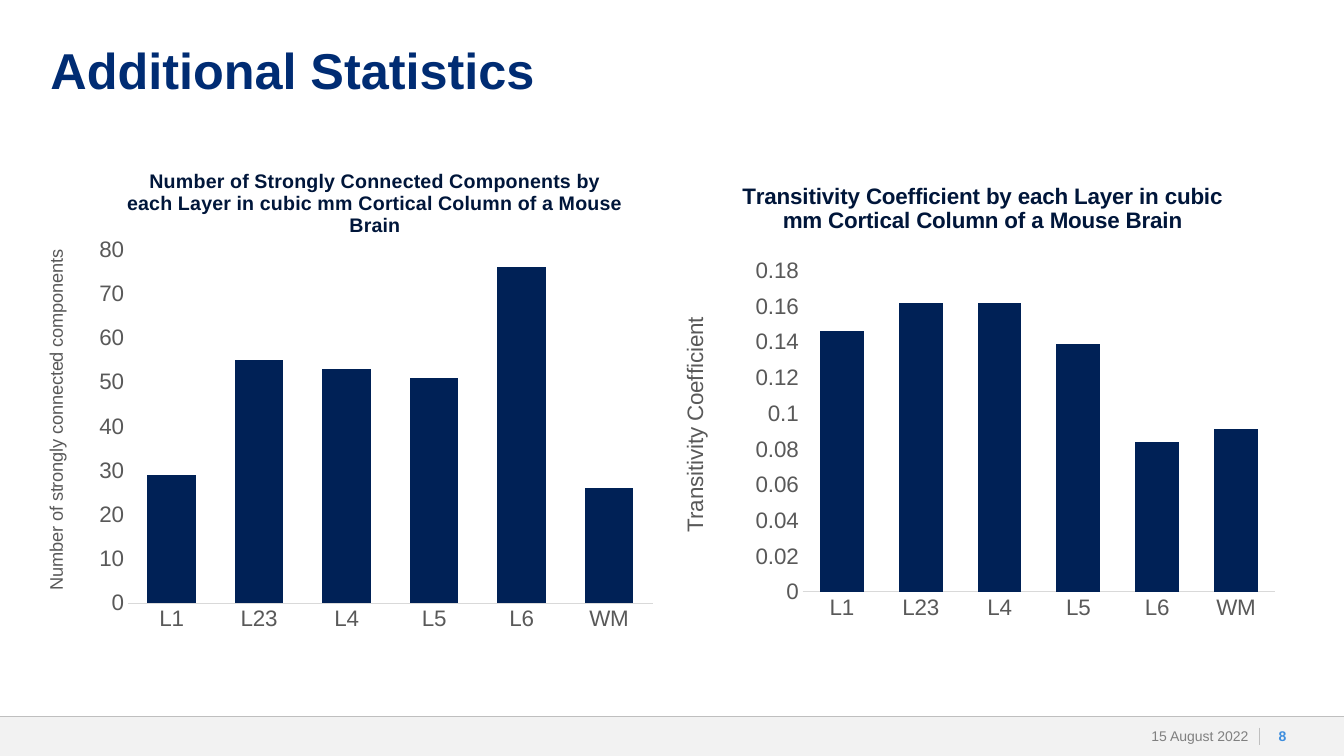
from dataclasses import dataclass

from lxml.etree import SubElement
from pptx import Presentation
from pptx.chart.data import CategoryChartData
from pptx.dml.color import RGBColor
from pptx.enum.chart import XL_CHART_TYPE, XL_TICK_MARK
from pptx.enum.shapes import MSO_CONNECTOR, MSO_SHAPE
from pptx.enum.text import MSO_ANCHOR, PP_ALIGN
from pptx.oxml import parse_xml
from pptx.oxml.ns import nsdecls, qn
from pptx.util import Inches, Pt

FONT = "Arial"
GREY = "595959"
LAYERS = ["L1", "L23", "L4", "L5", "L6", "WM"]


@dataclass
class Panel:
    box: tuple[float, float, float, float]
    title: str
    size: int
    label: str
    small: int
    vals: list[float]
    top: float
    step: float
    plot: tuple[float, float, float, float]
    head: tuple[float, float]
    side: tuple[float, float]


PANELS = [
    Panel((0.35, 1.63, 6.25, 4.8),
          "Number of Strongly Connected Components by each Layer "
          "in cubic mm Cortical Column of a Mouse Brain",
          14, "Number of strongly connected components", 13,
          [29, 55, 53, 51, 76, 26], 80, 10,
          (0.147, 0.176, 0.833, 0.731), (0.14, 0), (0.01, 0.17)),
    Panel((6.71, 1.62, 6.13, 4.8),
          "Transitivity Coefficient by each Layer "
          "in cubic mm Cortical Column of a Mouse Brain",
          16, "Transitivity Coefficient", 16,
          [0.146, 0.162, 0.162, 0.139, 0.084, 0.091], 0.18, 0.02,
          (0.204, 0.222, 0.765, 0.664), (0.1, 0.03), (0, 0.31)),
]


def paint(target, color: str) -> None:
    """Give a fill one solid colour."""
    target.solid()
    target.fore_color.rgb = RGBColor.from_string(color)


def style(font, size: float, color: str, bold: bool = False) -> None:
    font.name, font.size, font.bold = FONT, Pt(size), bold
    font.color.rgb = RGBColor.from_string(color)


def write(frame, text: str, *, size: float, color: str, bold: bool = False,
          align=None, anchor=None, pad: float | None = None,
          space: float | None = None) -> None:
    """Put one formatted paragraph in a text frame."""
    if pad is not None:
        frame.margin_left = frame.margin_right = Inches(pad)
        frame.margin_top = frame.margin_bottom = 0
        frame.word_wrap = True
    if anchor is not None:
        frame.vertical_anchor = anchor
    para = frame.paragraphs[0]
    para.alignment, para.line_spacing = align, space
    run = para.add_run()
    run.text = text
    style(run.font, size, color, bold)


def place(node, spot: tuple[float, ...], index: int) -> None:
    """Fix the place of a chart part, as fractions of the chart."""
    for old in node.findall(qn("c:layout")):
        node.remove(old)
    layout = parse_xml(f"<c:layout {nsdecls('c')}><c:manualLayout/></c:layout>")
    inner = layout[0]
    if len(spot) == 4:
        SubElement(inner, qn("c:layoutTarget")).set("val", "inner")
    for name in ("xMode", "yMode"):
        SubElement(inner, qn(f"c:{name}")).set("val", "edge")
    for name, part in zip("xywh", spot):
        SubElement(inner, qn(f"c:{name}")).set("val", str(part))
    node.insert(index, layout)


def rule(slide, start: tuple[float, float], end: tuple[float, float]) -> None:
    line = slide.shapes.add_connector(
        MSO_CONNECTOR.STRAIGHT, *map(Inches, start + end))
    paint(line.line.fill, "BFBFBF")
    line.line.width = Pt(0.5)
    SubElement(line._element.spPr, qn("a:effectLst"))


def draw(slide, panel: Panel) -> None:
    data = CategoryChartData()
    data.categories = LAYERS
    data.add_series("Series 1", panel.vals)
    chart = slide.shapes.add_chart(
        XL_CHART_TYPE.COLUMN_CLUSTERED, *map(Inches, panel.box), data).chart
    chart.has_legend = False
    style(chart.font, 10, "000000")
    place(chart._chartSpace.chart.plotArea, panel.plot, 0)

    # Bars
    bars = chart.plots[0]
    bars.gap_width, bars.overlap, bars.vary_by_categories = 80, -27, False
    paint(bars.series[0].format.fill, "002156")

    # Axes
    cats, vals = chart.category_axis, chart.value_axis
    for axis in (cats, vals):
        axis.major_tick_mark = axis.minor_tick_mark = XL_TICK_MARK.NONE
        axis.has_major_gridlines = False
        style(axis.tick_labels.font, 16, GREY)
    paint(cats.format.line.fill, "D9D9D9")
    cats.format.line.width = Pt(0.75)
    vals.format.line.fill.background()
    vals.minimum_scale, vals.maximum_scale = 0, panel.top
    vals.major_unit = panel.step
    vals.tick_labels.number_format = "General"
    vals.tick_labels.number_format_is_linked = False

    # Titles
    chart.has_title = vals.has_title = True
    for title, text, size, color, bold, spot in (
            (chart.chart_title, panel.title, panel.size, "00163A", True, panel.head),
            (vals.axis_title, panel.label, panel.small, GREY, False, panel.side)):
        write(title.text_frame, text, size=size, color=color, bold=bold)
        place(title._element, spot, 1)
    side = vals.axis_title.text_frame
    side.word_wrap = False
    turn = side._txBody.bodyPr
    turn.set("rot", "-5400000")
    turn.set("vert", "horz")


def main() -> None:
    deck = Presentation()
    deck.slide_width, deck.slide_height = Inches(13.33), Inches(7.5)
    slide = deck.slides.add_slide(deck.slide_layouts[5])

    # Footer band
    band = slide.shapes.add_shape(
        MSO_SHAPE.RECTANGLE, *map(Inches, (0, 7.11, 13.33, 0.39)))
    band.shadow.inherit = False
    paint(band.fill, "F2F2F2")
    band.line.fill.background()
    rule(slide, (0, 7.11), (13.33, 7.11))
    rule(slide, (12.49, 7.22), (12.49, 7.39))

    # Title
    title = slide.shapes.title
    title.left, title.top, title.width, title.height = map(
        Inches, (0.5, 0.46, 12.33, 0.83))
    write(title.text_frame, "Additional Statistics", size=36, color="002C73",
          bold=True, align=PP_ALIGN.LEFT, anchor=MSO_ANCHOR.TOP, pad=0, space=0.9)

    # Date and page number
    for left, width, text, color, bold, align, pad in (
            (10.98, 1.5, "15 August 2022", "808080", False, PP_ALIGN.RIGHT, 0.1),
            (12.51, 0.42, "8", "3E8EDE", True, PP_ALIGN.CENTER, 0)):
        box = slide.shapes.add_textbox(*map(Inches, (left, 7.11, width, 0.39)))
        write(box.text_frame, text, size=10, color=color, bold=bold,
              align=align, anchor=MSO_ANCHOR.MIDDLE, pad=pad)

    # Charts
    for panel in PANELS:
        draw(slide, panel)
    deck.save("out.pptx")


if __name__ == "__main__":
    main()
